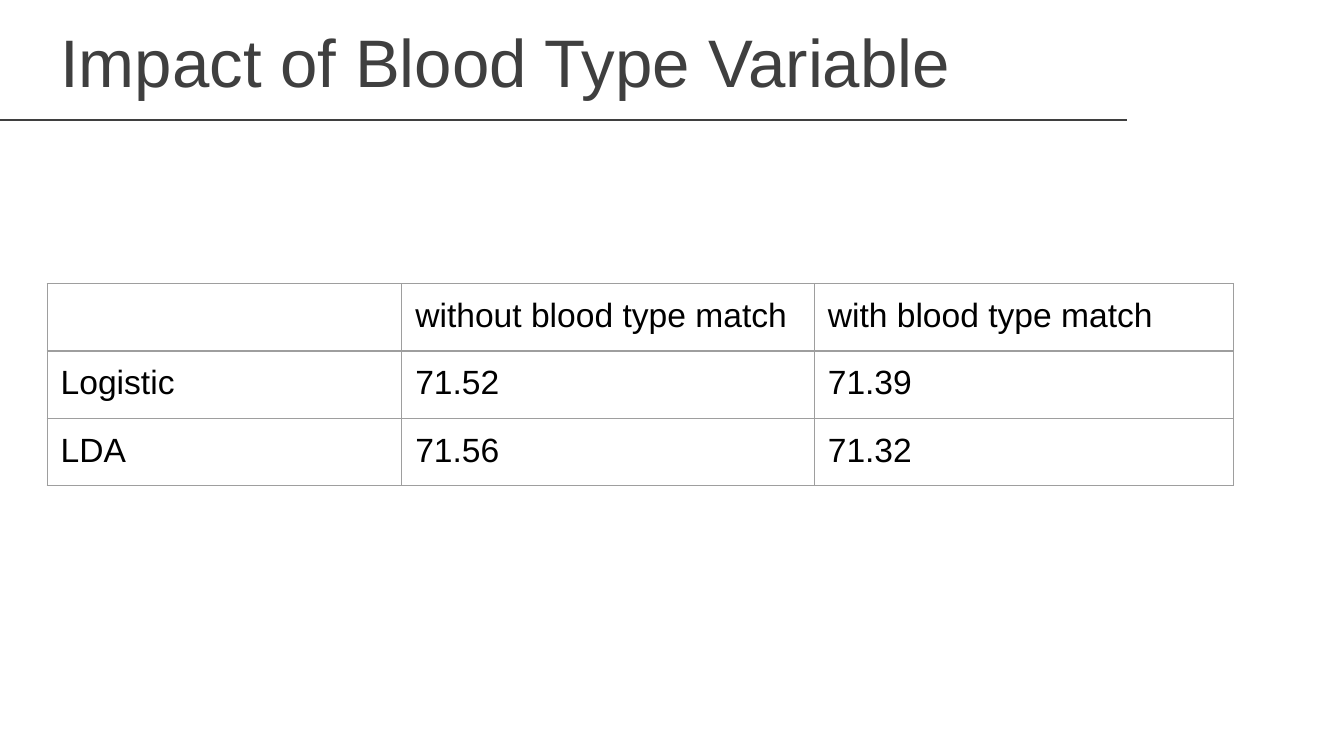
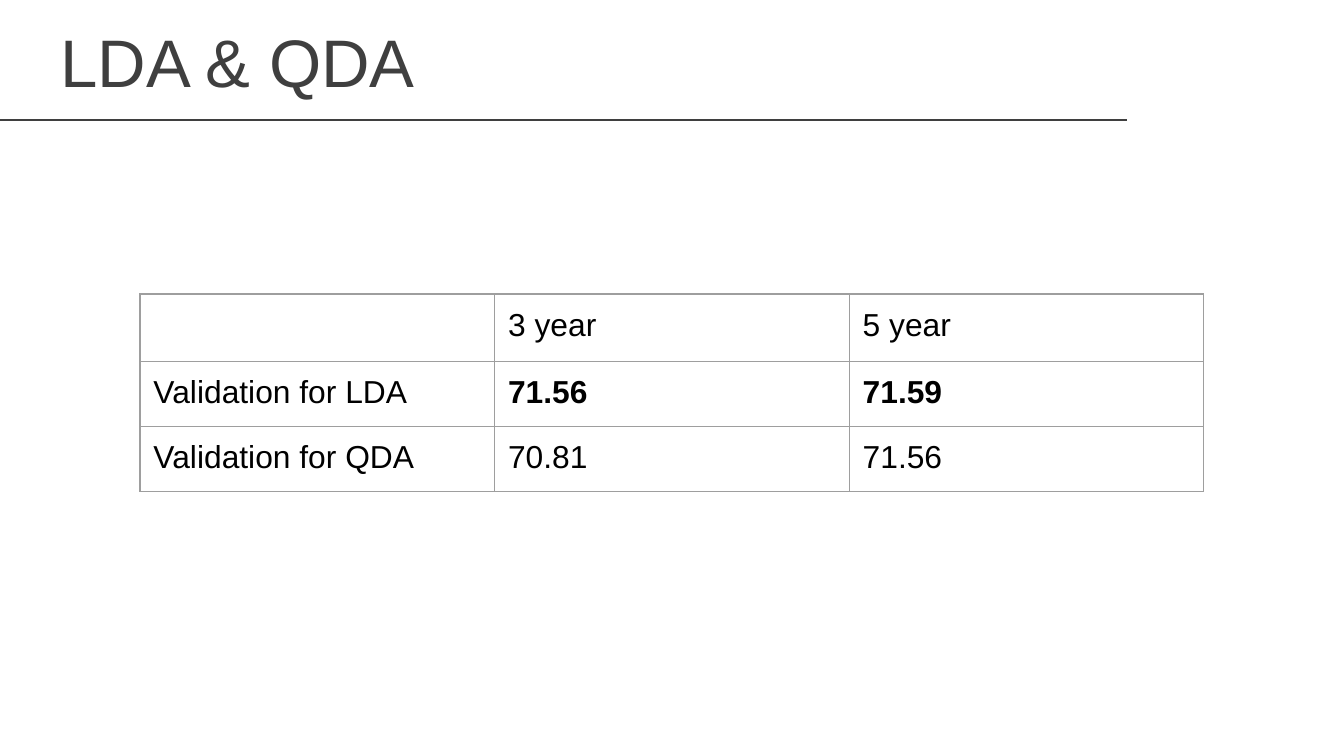
from lxml.etree import SubElement as Sub
from pptx import Presentation
from pptx.dml.color import RGBColor as Rgb
from pptx.enum.shapes import MSO_CONNECTOR as Conn
from pptx.enum.text import MSO_ANCHOR as Anchor
from pptx.oxml import parse_xml
from pptx.oxml.ns import nsdecls, qn
from pptx.util import Pt

COLORS = {"back": "FFFFFF", "title": "3F3F3F", "rule": "3F3F3F",
          "text": "000000", "grid": "9E9E9E"}
FONT = "Arial"
PAD = 7.2  # inner margin of title and cells
ROW = 30.24  # least row height


def color(name):
    return Rgb.from_string(COLORS[name])


def write(frame, text, size=18, tint="text", bold=False, before=0):
    """Put one formatted paragraph into a text frame."""
    para = frame.paragraphs[0]
    para.space_before = Pt(before)
    run = para.add_run()
    run.text = text
    font = run.font
    font.name, font.size, font.bold = FONT, Pt(size), bold
    font.color.rgb = color(tint)


def add_rule(slide):
    line = slide.shapes.add_connector(Conn.STRAIGHT, Pt(-0.7), Pt(64.3), Pt(604), Pt(64.3))
    line.line.color.rgb = color("rule")
    line.line.width = Pt(1.5)
    Sub(line._element.spPr, qn("a:effectLst"))


def add_title(slide, text):
    box = slide.shapes.add_textbox(Pt(25.2), Pt(10), Pt(578), Pt(45.4))
    frame = box.text_frame
    frame.word_wrap = True
    frame.vertical_anchor = Anchor.MIDDLE
    write(frame, text, size=36, tint="title", before=7.2)


def add_edges(cell):
    """Draw a thin line on all four sides of a cell."""
    props = cell._tc.get_or_add_tcPr()
    for spot, side in enumerate("LRTB"):
        props.insert(spot, parse_xml(
            f'<a:ln{side} {nsdecls("a")} w="{Pt(0.75)}"><a:solidFill>'
            f'<a:srgbClr val="{COLORS["grid"]}"/></a:solidFill></a:ln{side}>'))


def add_grid(slide, left, top, widths, rows, size, bold_row=None):
    """Add a plain table; the values of bold_row are bold."""
    table = slide.shapes.add_table(len(rows), len(widths), Pt(left), Pt(top),
                                   Pt(sum(widths)), Pt(ROW * len(rows))).table
    table.first_row = table.horz_banding = False
    for col, width in zip(table.columns, widths):
        col.width = Pt(width)
    for r, texts in enumerate(rows):
        table.rows[r].height = Pt(ROW)
        for c, text in enumerate(texts):
            cell = table.cell(r, c)
            cell.fill.background()
            cell.margin_left = cell.margin_right = Pt(PAD)
            cell.margin_top = cell.margin_bottom = Pt(PAD)
            add_edges(cell)
            if text:
                write(cell.text_frame, text, size=size, bold=r == bold_row and c > 0)


def add_slide(deck, title):
    """Start a slide with the shared background, rule and title."""
    slide = deck.slides.add_slide(deck.slide_layouts[6])
    fill = slide.background.fill
    fill.solid()
    fill.fore_color.rgb = color("back")
    add_rule(slide)
    add_title(slide, title)
    return slide


def main():
    deck = Presentation()
    deck.slide_width, deck.slide_height = Pt(720), Pt(405)

    # Blood type
    slide = add_slide(deck, "Impact of Blood Type Variable")
    add_grid(slide, 25.3, 152, [190, 221, 224.6], [
        ["", "without blood type match", "with blood type match"],
        ["Logistic", "71.52", "71.39"],
        ["LDA", "71.56", "71.32"],
    ], size=18)

    # Discriminant analysis
    slide = add_slide(deck, "LDA & QDA")
    add_grid(slide, 75, 157.5, [190] * 3, [
        ["", "3 year", "5 year"],
        ["Validation for LDA", "71.56", "71.59"],
        ["Validation for QDA", "70.81", "71.56"],
    ], size=17, bold_row=1)

    deck.save("out.pptx")


if __name__ == "__main__":
    main()
